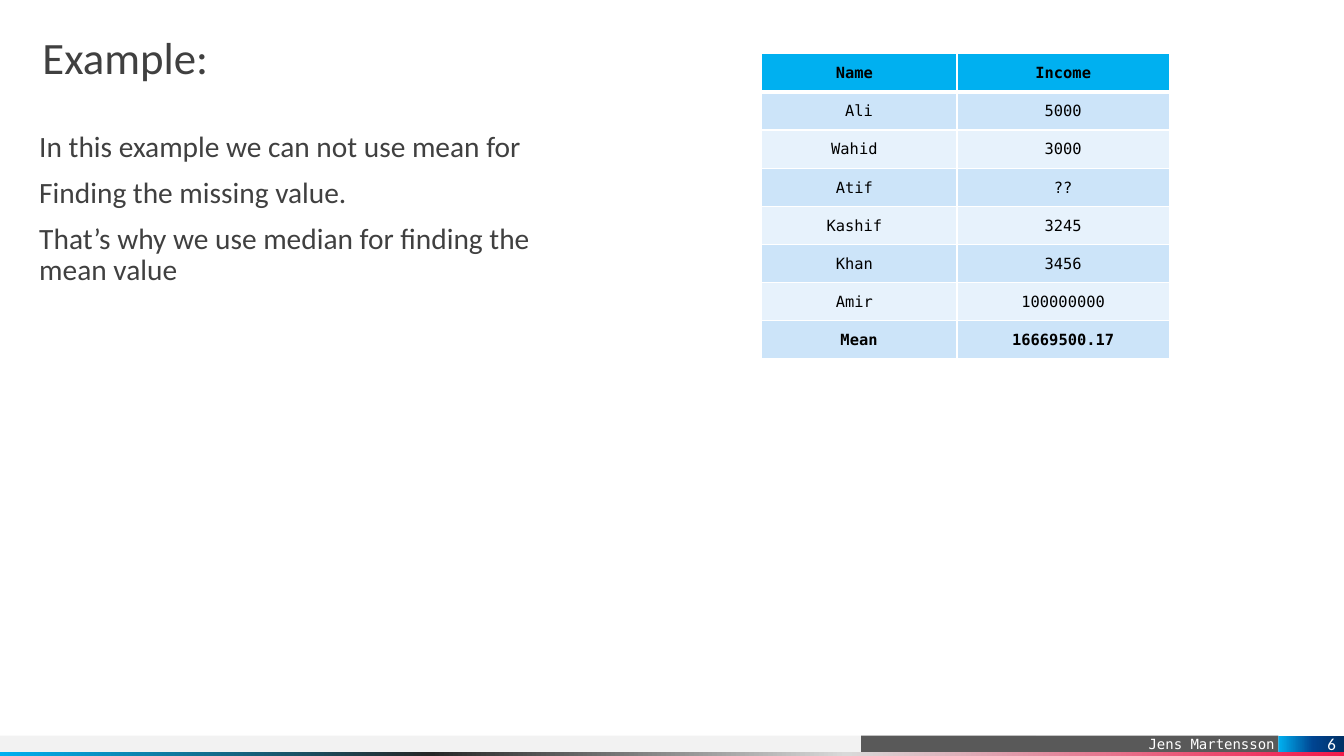
from dataclasses import dataclass

from lxml.etree import SubElement
from pptx import Presentation
from pptx.dml.color import RGBColor as Rgb
from pptx.enum.shapes import MSO_SHAPE as Kind
from pptx.enum.text import MSO_ANCHOR as Anchor, PP_ALIGN as Align
from pptx.oxml.ns import qn
from pptx.util import Cm, Pt


@dataclass(frozen=True)
class Theme:
    """Colours, fonts and type sizes of the slide."""
    ink: str = "404040"
    black: str = "000000"
    white: str = "FFFFFF"
    pale: str = "F2F2F2"
    dark: str = "595959"
    head: str = "00B0F0"
    bands: tuple = ("CCE4F9", "E7F2FC")
    strip: tuple = ((0, "00B0F0"), (32, "262626"), (63, "D9D9D9"), (100, "F2194A"))
    badge: tuple = ((0, "00B0F0"), (53, "004490"), (100, "003065"))
    sans: str = "Calibri"
    mono: str = "DejaVu Sans Mono"
    title: float = 32
    body: float = 21
    cell: float = 11
    foot: float = 10
    page: float = 12


THEME = Theme()
ROWS = (
    ("Name ", "Income"), ("Ali", "5000"), ("Wahid ", "3000"),
    ("Atif ", "??"), ("Kashif ", "3245"), ("Khan ", "3456"),
    ("Amir ", "100000000"), ("Mean", "16669500.17"),
)


def style(para, font, size, color, align=Align.LEFT, bold=False):
    """Format one paragraph and its runs."""
    para.alignment = align
    for run in para.runs:
        run.font.name, run.font.size, run.font.bold = font, Pt(size), bold
        run.font.color.rgb = Rgb.from_string(color)


def inset(obj, left=0, top=0, right=0, bottom=0):
    """Set the inner margins of a text frame or cell in centimetres."""
    obj.margin_left, obj.margin_top = Cm(left), Cm(top)
    obj.margin_right, obj.margin_bottom = Cm(right), Cm(bottom)


def add_bar(slide, box, paint):
    """Add a plain bar with a solid colour or a tuple of gradient stops."""
    bar = slide.shapes.add_shape(Kind.RECTANGLE, *map(Cm, box))
    bar.shadow.inherit = False
    bar.line.fill.background()
    if isinstance(paint, str):
        bar.fill.solid()
        bar.fill.fore_color.rgb = Rgb.from_string(paint)
        return bar
    bar.fill.gradient()
    bar.fill.gradient_angle = 0
    stops = next(bar.element.iter(qn("a:gsLst")))
    stops.clear()
    for pos, color in paint:
        stop = SubElement(stops, qn("a:gs"), pos=str(pos * 1000))
        SubElement(stop, qn("a:srgbClr"), val=color)
    return bar


def label(bar, text, font, size, right, anchor):
    """Write white right-aligned text in a bar."""
    frame = bar.text_frame
    inset(frame, right=right)
    frame.vertical_anchor = anchor
    frame.text = text
    style(frame.paragraphs[0], font, size, THEME.white, Align.RIGHT)


def add_text(slide, box, lines, size, before=0):
    """Add a text box with one paragraph per line."""
    frame = slide.shapes.add_textbox(*map(Cm, box)).text_frame
    frame.word_wrap = True
    inset(frame)
    frame.text = "\n".join(lines)
    for para in frame.paragraphs:
        para.line_spacing = 0.9
        para.space_before = Pt(before)
        style(para, THEME.sans, size, THEME.ink)


def add_edges(cell, top, bottom):
    """Draw white cell borders with the given top and bottom weights."""
    props = cell._tc.get_or_add_tcPr()
    for side, width in zip("LRTB", (1, 1, top, bottom)):
        line = SubElement(props, qn(f"a:ln{side}"), w=str(Pt(width)))
        fill = SubElement(line, qn("a:solidFill"))
        SubElement(fill, qn("a:srgbClr"), val=THEME.white)


def add_grid(slide, box, rows, shares):
    """Add the income table with a header, bands and a bold last row."""
    left, top, width, height = box
    last = len(rows) - 1
    grid = slide.shapes.add_table(len(rows), len(shares), *map(Cm, box)).table
    for col, share in zip(grid.columns, shares):
        col.width = Cm(width * share)
    for i, row in enumerate(rows):
        grid.rows[i].height = Cm(height / len(rows))
        for j, text in enumerate(row):
            cell = grid.cell(i, j)
            inset(cell, 0.03, 0.03, 0.03)
            cell.vertical_anchor = Anchor.MIDDLE
            add_edges(cell, 3 if i == 1 else 1, 3 if i == 0 else 1)
            cell.fill.solid()
            color = THEME.bands[(i - 1) % 2] if i else THEME.head
            cell.fill.fore_color.rgb = Rgb.from_string(color)
            cell.text = text
            style(cell.text_frame.paragraphs[0], THEME.mono, THEME.cell,
                  THEME.black, Align.CENTER, i in (0, last))


def add_foot(slide, box, name, page):
    """Add the footer bars with the speaker name and page number."""
    left, top, width, height = box
    strip, badge, tag = 0.1, 1.65, 10.52
    tall = height - strip
    edge = left + width - badge
    add_bar(slide, (left, top, width - 7.76, tall), THEME.pale)
    bar = add_bar(slide, (edge - tag, top, tag, tall), THEME.dark)
    label(bar, name, THEME.mono, THEME.foot, 0.1, Anchor.BOTTOM)
    add_bar(slide, (left, top + tall, width, strip), THEME.strip)
    bar = add_bar(slide, (edge, top, badge, tall), THEME.badge)
    label(bar, page, THEME.sans, THEME.page, 0.2, Anchor.MIDDLE)


def main():
    """Build the slide and save it."""
    deck = Presentation()
    deck.slide_width, deck.slide_height = Cm(33.87), Cm(19.05)
    slide = deck.slides.add_slide(deck.slide_layouts[6])
    add_foot(slide, (0, 18.54, 33.87, 0.51), "Jens Martensson", "6")
    add_text(slide, (1.07, 0.89, 13.16, 1.5), ["Example:"], THEME.title)
    add_text(slide, (0.99, 3.33, 13.16, 4.67), [
        "In this example we can not use mean for",
        "Finding the missing value.",
        "That’s why we use median for finding the mean value",
    ], THEME.body, 10)
    add_grid(slide, (19.18, 1.35, 10.29, 7.7), ROWS, (0.48, 0.52))
    deck.save("out.pptx")


if __name__ == "__main__":
    main()
